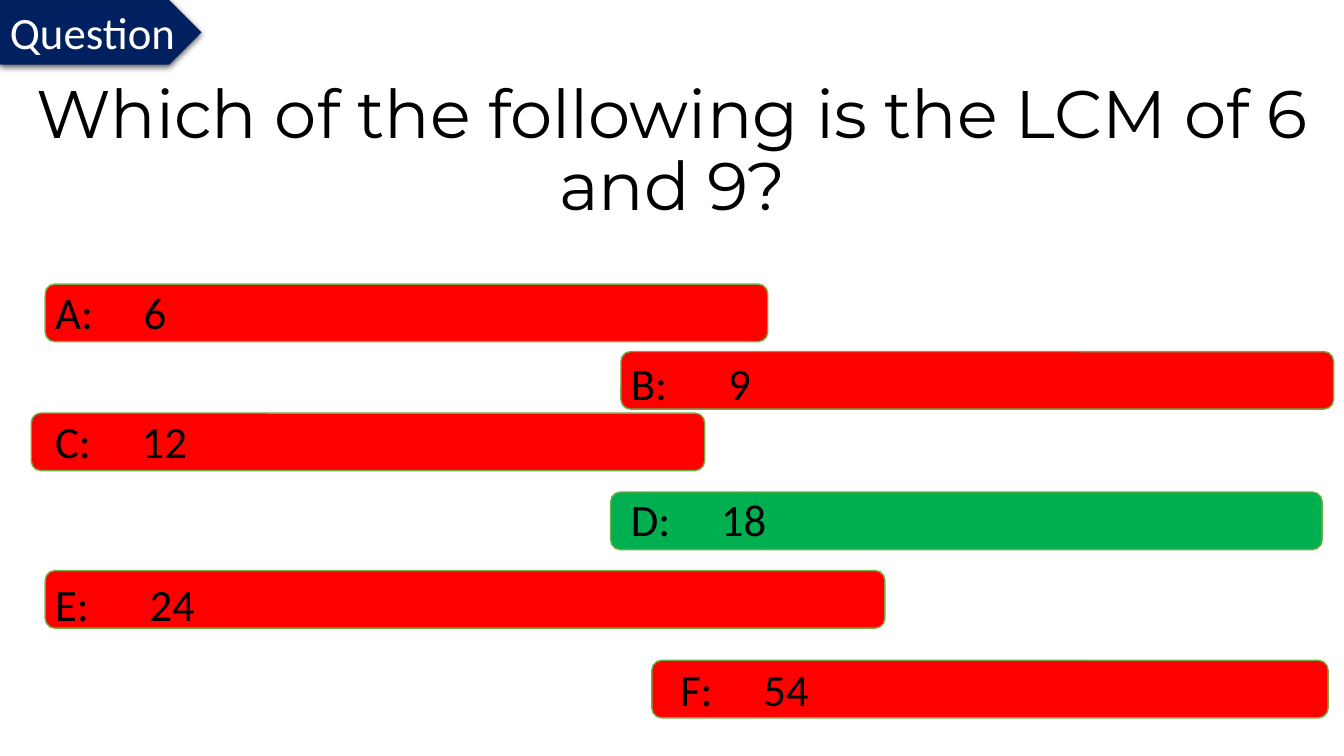
from lxml import etree
from pptx import Presentation
from pptx.dml.color import RGBColor
from pptx.enum.shapes import MSO_SHAPE
from pptx.enum.text import MSO_ANCHOR, MSO_AUTO_SIZE, PP_ALIGN
from pptx.oxml import parse_xml
from pptx.oxml.ns import nsdecls, qn
from pptx.util import Cm, Pt

PENTAGON, ROUNDED = MSO_SHAPE.PENTAGON, MSO_SHAPE.ROUNDED_RECTANGLE
TOP, LEFT, CENTER = MSO_ANCHOR.TOP, PP_ALIGN.LEFT, PP_ALIGN.CENTER
GROW = MSO_AUTO_SIZE.SHAPE_TO_FIT_TEXT

COLORS = {
    "text": "000000",
    "tag": "002060",
    "tag text": "FFFFFF",
    "wrong": "FF0000",
    "right": "00B050",
    "outline": "70AD47",
}
BAR_HEIGHT, LABEL_HEIGHT = 1.45, 1.63

# letter, value, bar (left, top, width), label (left, top, width), tab stop; in cm
ANSWERS = [
    ("A", "6", (1.14, 7.16, 18.21), (1.14, 7.06, 18.36), 2.23),
    ("C", "12", (0.79, 10.41, 16.97), (1.14, 10.31, 21.34), 2.18),
    ("B", "9", (15.65, 8.86, 17.96), (15.65, 8.84, 18.03), 2.45),
    ("D", "18", (15.39, 12.4, 17.93), (15.65, 12.27, 16.61), 2.27),
    ("E", "24", (1.14, 14.38, 21.16), (1.14, 14.4, 21.16), 2.38),
    ("F", "54", (16.43, 16.64, 17.04), (16.89, 16.56, 16.99), 2.1),
]
CORRECT = "D"


def color(name):
    return RGBColor.from_string(COLORS[name])


def write(shape, text, size, font="Calibri", ink="text", align=LEFT, wrap=True):
    """Put one styled paragraph in the shape and return it."""
    frame = shape.text_frame
    frame.word_wrap = wrap
    frame.vertical_anchor = TOP
    paragraph = frame.paragraphs[0]
    paragraph.text = text
    paragraph.alignment = align
    paragraph.font.size = Pt(size)
    paragraph.font.name = font
    paragraph.font.color.rgb = color(ink)
    return paragraph


prs = Presentation()
prs.slide_width, prs.slide_height = Cm(33.87), Cm(19.05)
slide = prs.slides.add_slide(prs.slide_layouts[6])
shapes = slide.shapes

question = shapes.add_textbox(Cm(0.2), Cm(1.9), Cm(33.48), Cm(3.68))
wording = write(question, "Which of the following is the LCM of 6 and 9?", 48,
                font="Montserrat", align=CENTER)
wording.line_spacing = 0.9

tag = shapes.add_shape(PENTAGON, 0, 0, Cm(5.08), Cm(LABEL_HEIGHT))
tag.fill.solid()
tag.fill.fore_color.rgb = color("tag")
tag.line.fill.background()
tag.shadow.inherit = False
tag.element.spPr.find(qn("a:effectLst")).append(parse_xml(
    f'<a:outerShdw {nsdecls("a")} blurRad="{Pt(4.5)}" dist="{Pt(1.5)}" '
    'dir="5400000" algn="ctr" rotWithShape="0">'
    '<a:srgbClr val="000000"><a:alpha val="63000"/></a:srgbClr></a:outerShdw>'))
write(tag, "Question", 32, ink="tag text", wrap=False)
tag.text_frame.auto_size = GROW

for letter, value, bar_place, label_place, tab_stop in ANSWERS:
    bar = shapes.add_shape(ROUNDED, *map(Cm, bar_place), Cm(BAR_HEIGHT))
    bar.fill.solid()
    bar.fill.fore_color.rgb = color("right" if letter == CORRECT else "wrong")
    bar.line.color.rgb = color("outline")
    bar.line.width = Pt(1)
    bar.shadow.inherit = False

    label = shapes.add_textbox(*map(Cm, label_place), Cm(LABEL_HEIGHT))
    label.text_frame.auto_size = GROW
    answer = write(label, f"{letter}:\t{value}", 32)
    tabs = etree.Element(qn("a:tabLst"))
    etree.SubElement(tabs, qn("a:tab"), pos=str(Cm(tab_stop)), algn="l")
    answer.font  # makes sure the default run properties exist
    properties = answer._p.get_or_add_pPr()
    properties.find(qn("a:defRPr")).addprevious(tabs)

prs.save("out.pptx")
